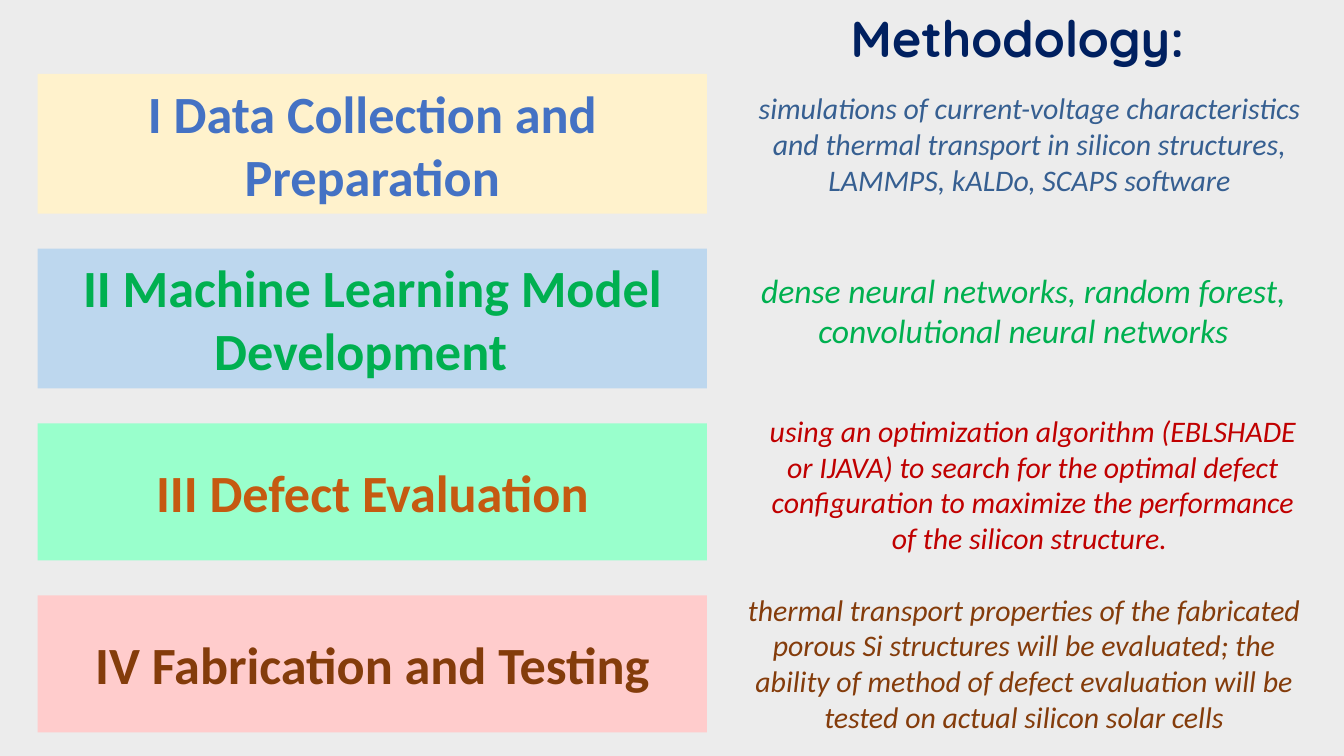
import pptx
from pptx.dml.color import RGBColor
from pptx.enum.shapes import MSO_SHAPE
from pptx.enum.text import MSO_ANCHOR, MSO_AUTO_SIZE, PP_ALIGN
from pptx.util import Inches, Pt

# Colours
BACKGROUND = RGBColor(0xEC, 0xEC, 0xEC)
NAVY = RGBColor(0x00, 0x20, 0x60)
BLUE = RGBColor(0x44, 0x72, 0xC4)
STEEL = RGBColor(0x36, 0x5F, 0x91)
GREEN = RGBColor(0x00, 0xB0, 0x50)
ORANGE = RGBColor(0xC5, 0x5A, 0x11)
RED = RGBColor(0xC0, 0x00, 0x00)
BROWN = RGBColor(0x84, 0x3C, 0x0B)
CREAM = RGBColor(0xFF, 0xF2, 0xCC)
PALE_BLUE = RGBColor(0xBD, 0xD7, 0xEE)
MINT = RGBColor(0x99, 0xFF, 0xCC)
PINK = RGBColor(0xFF, 0xCC, 0xCC)

# Content: stage (name, fill, colour, height), details (paragraphs, colour, size, box)
TITLE = "Methodology:"
STAGES = [
    (("I Data Collection and Preparation", CREAM, BLUE, 1.04),
     (["simulations of current-voltage characteristics and thermal transport "
       "in silicon structures,", "LAMMPS, kALDo, SCAPS software"],
      STEEL, 16, (5.4, 0.62, 4.52, 0.91))),
    (("II Machine Learning Model Development  ", PALE_BLUE, GREEN, 1.04),
     (["dense neural networks, random forest, convolutional neural networks"],
      GREEN, 18, (5.52, 1.96, 4.19, 0.71))),
    (("III Defect Evaluation", MINT, ORANGE, 1.02),
     (["using an optimization algorithm (EBLSHADE or IJAVA) to search for the "
       "optimal defect configuration to maximize the performance of the "
       "silicon structure. "],
      RED, 16, (5.53, 3.02, 4.31, 1.18))),
    (("IV Fabrication and Testing", PINK, BROWN, 1.02),
     (["thermal transport properties of the fabricated porous Si structures "
       "will be evaluated; the ability of method of defect evaluation will be "
       "tested on actual silicon solar cells"],
      BROWN, 16, (5.4, 4.35, 4.44, 1.18))),
]

# Layout of the stage column
STAGE_LEFT, STAGE_TOP, STAGE_WIDTH, STAGE_GAP = 0.28, 0.55, 4.98, 0.26


def write_text(shape, lines, alignment, anchor, **font_format):
    frame = shape.text_frame
    frame.text = "\n".join(lines)
    frame.word_wrap = True
    frame.auto_size = MSO_AUTO_SIZE.NONE
    frame.vertical_anchor = anchor
    color = font_format.pop("color")
    for paragraph in frame.paragraphs:
        paragraph.alignment = alignment
        for run in paragraph.runs:
            run.font.color.rgb = color
            for name, value in font_format.items():
                setattr(run.font, name, value)


# Widescreen 16:9 slide
presentation = pptx.Presentation()
presentation.slide_width = Inches(10)
presentation.slide_height = presentation.slide_width * 9 // 16
slide = presentation.slides.add_slide(presentation.slide_layouts[5])
slide.background.fill.solid()
slide.background.fill.fore_color.rgb = BACKGROUND

# Title
title = slide.shapes.title
title_box = {"left": 6.23, "top": 0, "width": 2.86, "height": 0.56}
for name, value in title_box.items():
    setattr(title, name, Inches(value))
write_text(title, [TITLE], PP_ALIGN.LEFT, MSO_ANCHOR.TOP,
           name="Quicksand", size=Pt(27), bold=True, color=NAVY)

# Stages with their details
top = STAGE_TOP
for (stage, fill, color, height), (lines, detail_color, size, box) in STAGES:
    block = slide.shapes.add_shape(
        MSO_SHAPE.RECTANGLE, Inches(STAGE_LEFT), Inches(top),
        Inches(STAGE_WIDTH), Inches(height))
    block.shadow.inherit = False
    block.fill.solid()
    block.fill.fore_color.rgb = fill
    block.line.fill.background()
    write_text(block, [stage], PP_ALIGN.CENTER, MSO_ANCHOR.MIDDLE,
               name="Calibri", size=Pt(28), bold=True, color=color)
    top += height + STAGE_GAP

    details = slide.shapes.add_textbox(*map(Inches, box))
    write_text(details, lines, PP_ALIGN.CENTER, MSO_ANCHOR.TOP,
               name="Calibri", size=Pt(size), italic=True, color=detail_color)

presentation.save("out.pptx")
